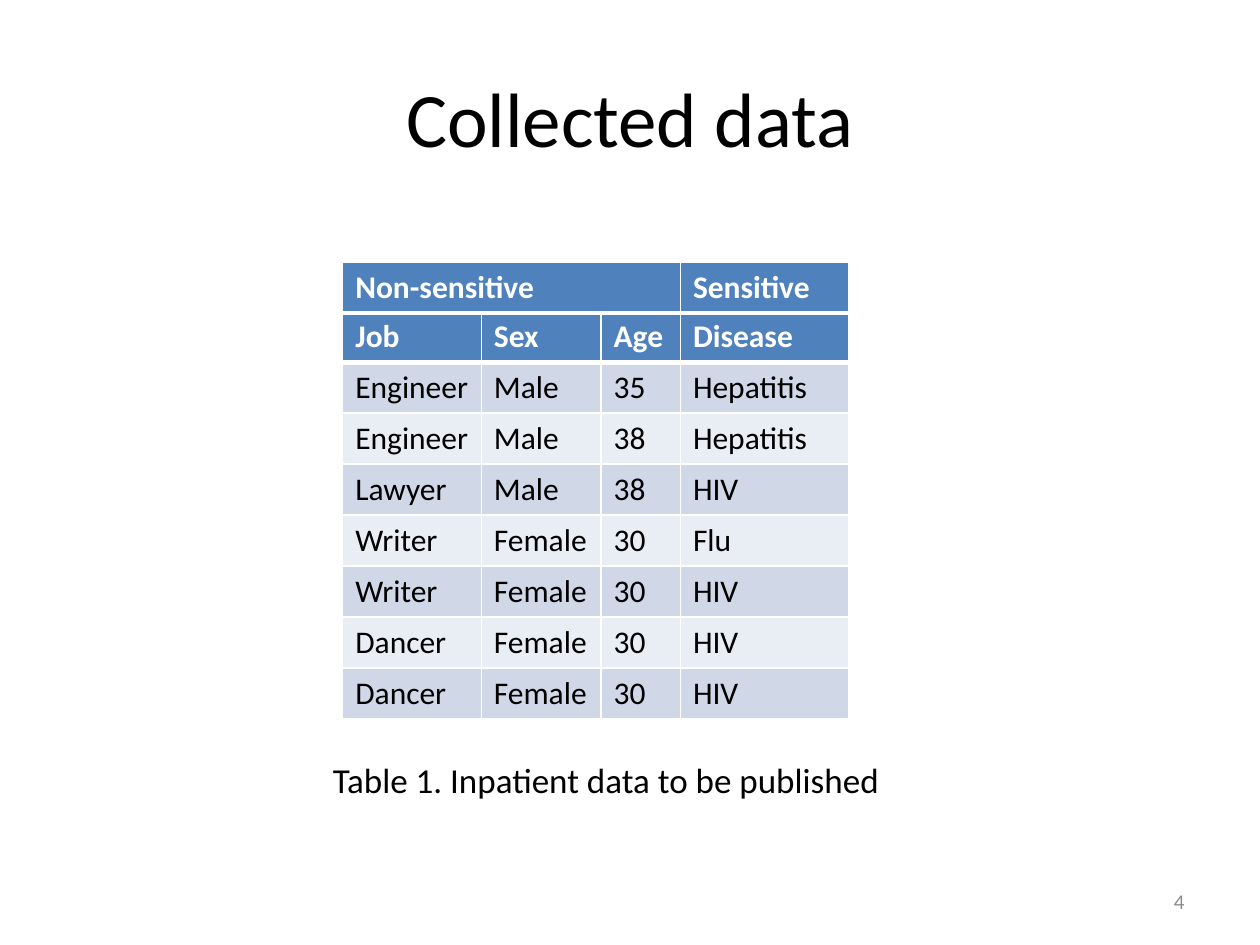
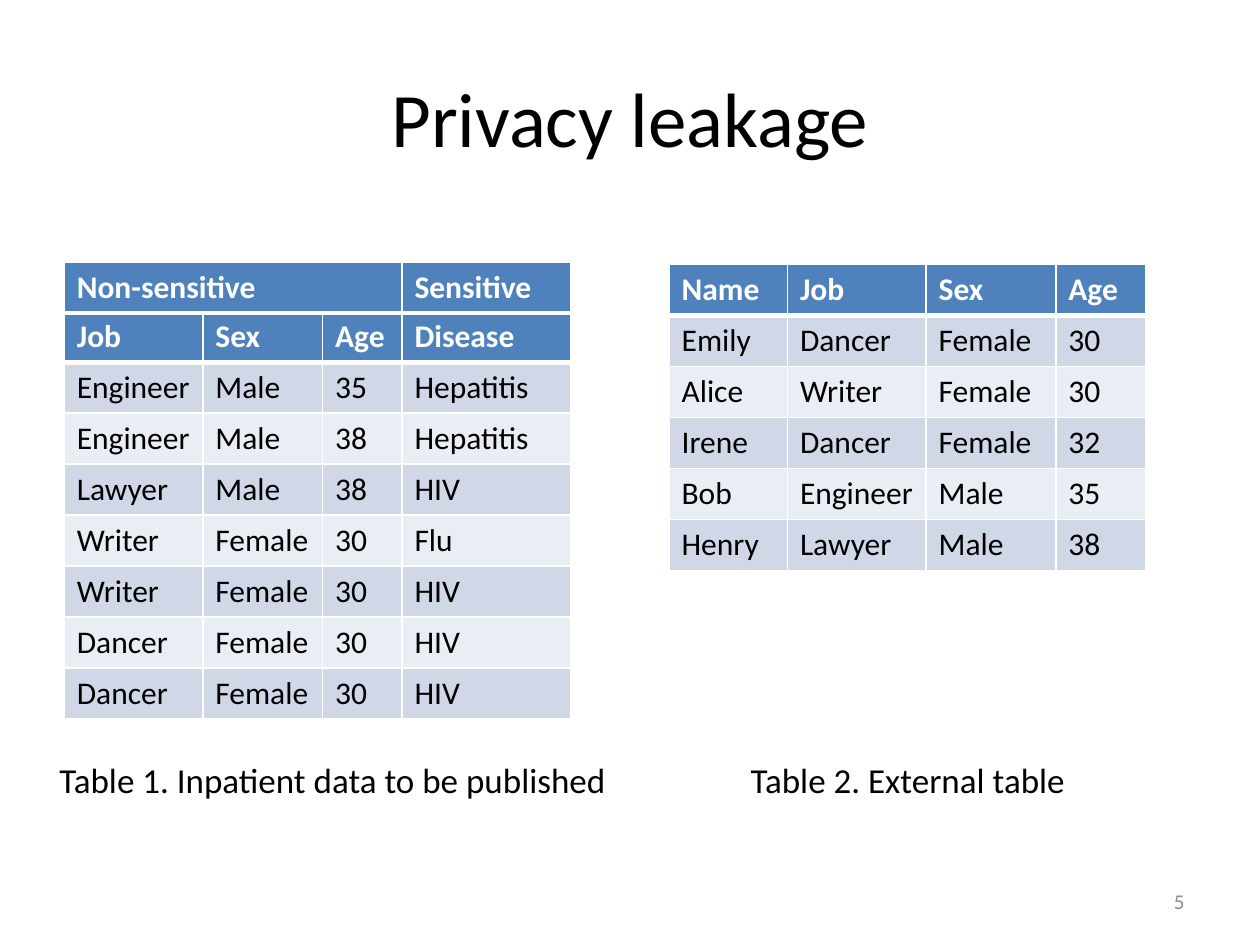
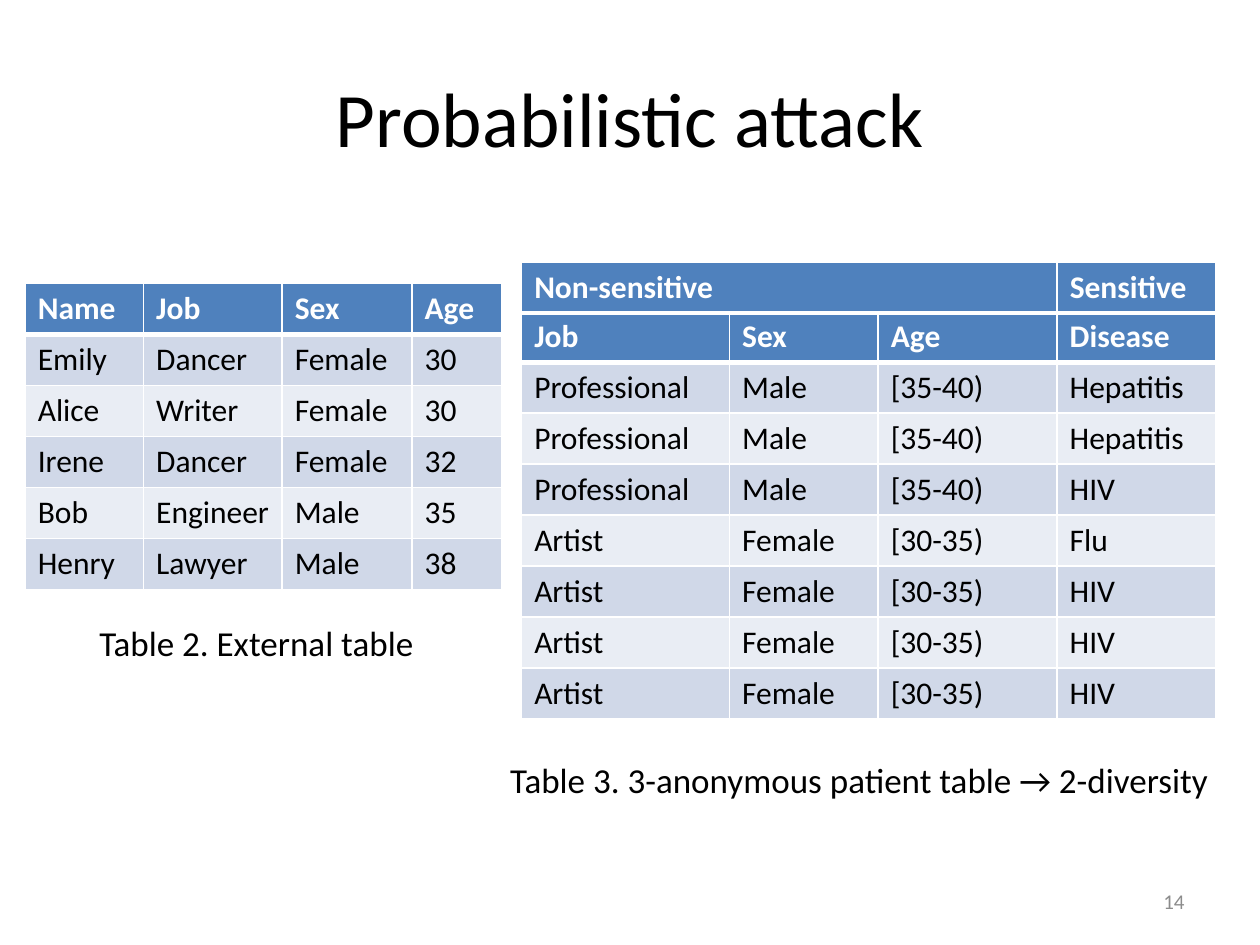
from lxml.etree import SubElement
from pptx import Presentation
from pptx.dml.color import RGBColor
from pptx.enum.text import MSO_ANCHOR as Anchor, PP_ALIGN as Align
from pptx.oxml.ns import qn
from pptx.util import Inches, Pt

FONT = "Calibri"
BLACK, WHITE, GREY = "000000", "FFFFFF", "8C8C8C"
HEADER, BANDS = "4F81BD", ("D0D8E8", "E9EDF4")
ROW_HEIGHT = Inches(0.81) // 2
BANNER_TOP, TABLE_TOP, CAPTION_TOP = 2.08, 2.47, 5.88

PATIENT_HEADINGS = ("Job", "Sex", "Age", "Disease")
PATIENTS = [
    PATIENT_HEADINGS,
    ("Engineer", "Male", "35", "Hepatitis"),
    ("Engineer", "Male", "38", "Hepatitis"),
    ("Lawyer", "Male", "38", "HIV"),
    ("Writer", "Female", "30", "Flu"),
    ("Writer", "Female", "30", "HIV"),
    ("Dancer", "Female", "30", "HIV"),
    ("Dancer", "Female", "30", "HIV"),
]
MALE, FEMALE = ("Professional", "Male", "[35-40)"), ("Artist", "Female", "[30-35)")
ANONYMOUS = [
    PATIENT_HEADINGS,
    (*MALE, "Hepatitis"),
    (*MALE, "Hepatitis"),
    (*MALE, "HIV"),
    (*FEMALE, "Flu"),
    *[(*FEMALE, "HIV")] * 3,
]
EXTERNAL = [
    ("Name", "Job", "Sex", "Age"),
    ("Emily", "Dancer", "Female", "30"),
    ("Alice", "Writer", "Female", "30"),
    ("Irene", "Dancer", "Female", "32"),
    ("Bob", "Engineer", "Male", "35"),
    ("Henry", "Lawyer", "Male", "38"),
]
PATIENT_WIDTHS = (1.1, 0.95, 0.63, 1.34)
ANONYMOUS_WIDTHS = (1.65, 1.18, 1.42, 1.26)
EXTERNAL_WIDTHS = (0.94, 1.1, 1.03, 0.71)
PATIENT_CAPTION = "Table 1. Inpatient data to be published"
EXTERNAL_CAPTION = "Table 2. External table"
ANONYMOUS_CAPTION = "Table 3. 3-anonymous patient table → 2-diversity"


def rgb(value):
    """Turn a hex string into a colour."""
    return RGBColor.from_string(value)


class Builder:
    """Holds the deck's style and the slide being filled."""

    def __init__(self):
        """Open an empty deck of 10 by 7.5 inches."""
        self.deck = Presentation()
        self.deck.slide_width, self.deck.slide_height = Inches(10), Inches(7.5)
        self.page = None

    def set_text(self, frame, text, size, color=BLACK, align=Align.LEFT, bold=False):
        """Put one formatted line of text into a frame."""
        frame.text = text
        para = frame.paragraphs[0]
        para.alignment = align
        for span in para.runs:
            span.font.name, span.font.size, span.font.bold = FONT, Pt(size), bold
            span.font.color.rgb = rgb(color)

    def add_page(self, title, number):
        """Start a slide with its title and page number."""
        self.page = self.deck.slides.add_slide(self.deck.slide_layouts[5])
        heading = self.page.shapes.title
        heading.left, heading.top = Inches(0.5), Inches(0.3)
        heading.width, heading.height = Inches(9), Inches(1.25)
        heading.text_frame.vertical_anchor = Anchor.MIDDLE
        self.set_text(heading.text_frame, title, 44, align=Align.CENTER)
        self.label(str(number), 7.17, 6.95, 2.33, 0.4, 12, GREY, Align.RIGHT)

    def label(self, text, left, top, width, height=0.62, size=20,
              color=BLACK, align=Align.CENTER):
        """Add a line of text, by default a table caption."""
        box = self.page.shapes.add_textbox(
            Inches(left), Inches(top), Inches(width), Inches(height))
        box.text_frame.word_wrap = True
        box.text_frame.vertical_anchor = Anchor.MIDDLE
        self.set_text(box.text_frame, text, size, color, align)

    def borders(self, cell, top, bottom):
        """Draw white cell borders, with the given top and bottom weights."""
        properties = cell._tc.get_or_add_tcPr()
        for side, weight in (("L", 1), ("R", 1), ("T", top), ("B", bottom)):
            line = SubElement(properties, qn(f"a:ln{side}"), w=str(Pt(weight)))
            fill = SubElement(line, qn("a:solidFill"))
            SubElement(fill, qn("a:srgbClr"), val=WHITE)

    def table(self, rows, widths, left, top):
        """Add a table with a header row and banded rows below."""
        table = self.page.shapes.add_table(
            len(rows), len(widths), Inches(left), Inches(top),
            Inches(sum(widths)), ROW_HEIGHT * len(rows)).table
        for column, width in zip(table.columns, widths):
            column.width = Inches(width)
        for index, values in enumerate(rows):
            table.rows[index].height = ROW_HEIGHT
            is_header = index == 0
            for cell, value in zip(table.rows[index].cells, values):
                self.borders(cell, 3 if index == 1 else 1, 3 if is_header else 1)
                cell.fill.solid()
                cell.fill.fore_color.rgb = rgb(HEADER if is_header else BANDS[(index - 1) % 2])
                self.set_text(cell.text_frame, value, 18,
                              WHITE if is_header else BLACK, bold=is_header)

    def sensitivity_table(self, rows, widths, left):
        """Add a table under a banner that marks the sensitive column."""
        self.table(rows, widths, left, TABLE_TOP)
        banner_widths = (sum(widths[:-1]), widths[-1])
        self.table([("Non-sensitive", "Sensitive")], banner_widths, left, BANNER_TOP)


def main():
    """Build the three slides and save the deck."""
    builder = Builder()

    builder.add_page("Collected data", 4)
    builder.sensitivity_table(PATIENTS, PATIENT_WIDTHS, 2.72)
    builder.label(PATIENT_CAPTION, 1.54, CAPTION_TOP, 6.54)

    builder.add_page("Privacy leakage", 5)
    builder.sensitivity_table(PATIENTS, PATIENT_WIDTHS, 0.51)
    builder.label(PATIENT_CAPTION, 0.28, CAPTION_TOP, 4.72)
    builder.table(EXTERNAL, EXTERNAL_WIDTHS, 5.31, 2.1)
    builder.label(EXTERNAL_CAPTION, 4.92, CAPTION_TOP, 4.57)

    builder.add_page("Probabilistic attack", 14)
    builder.sensitivity_table(ANONYMOUS, ANONYMOUS_WIDTHS, 4.14)
    builder.label(ANONYMOUS_CAPTION, 3.67, CAPTION_TOP, 6.3)
    builder.table(EXTERNAL, EXTERNAL_WIDTHS, 0.2, 2.25)
    builder.label(EXTERNAL_CAPTION, 0.4, 4.79, 3.27)

    builder.deck.save("out.pptx")


if __name__ == "__main__":
    main()
